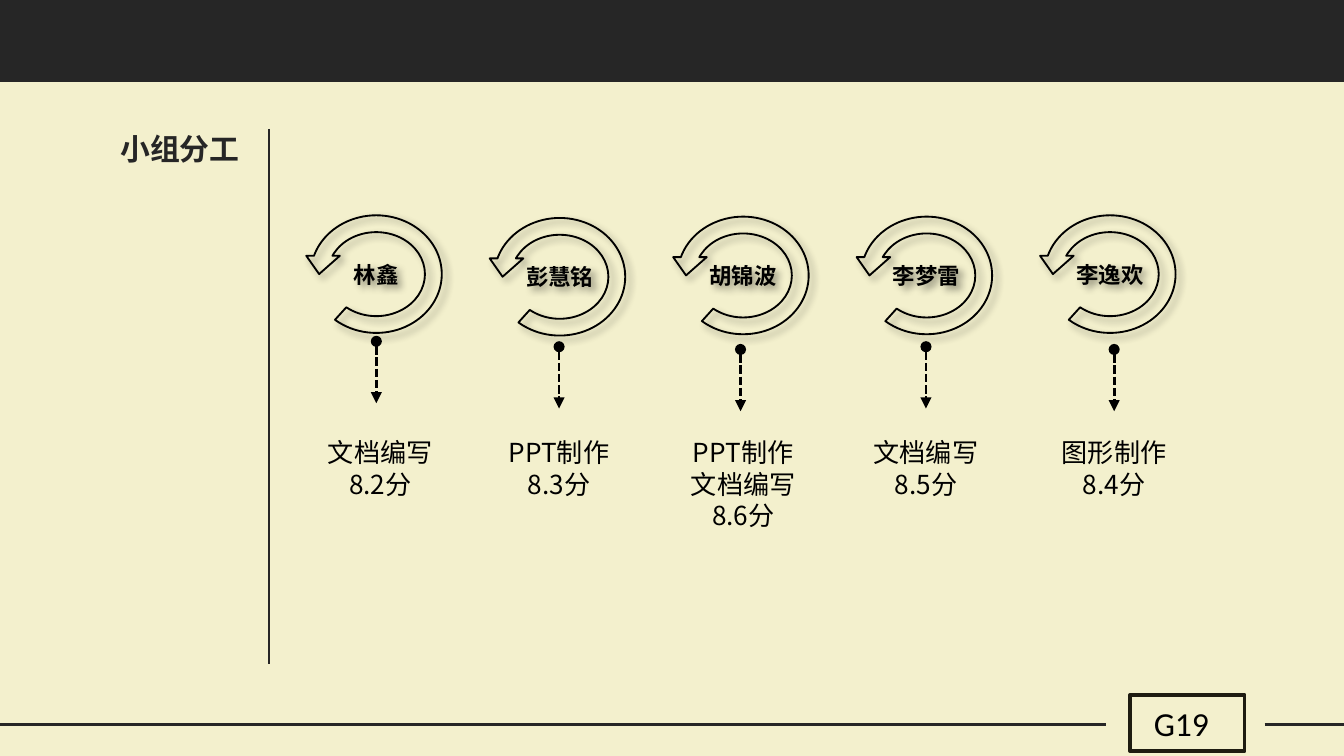
from lxml.etree import SubElement
from pptx import Presentation
from pptx.dml.color import RGBColor
from pptx.enum.dml import MSO_LINE
from pptx.enum.shapes import MSO_CONNECTOR as Connector, MSO_SHAPE as Preset
from pptx.enum.text import MSO_ANCHOR as Anchor, PP_ALIGN as Align
from pptx.oxml.ns import qn
from pptx.util import Inches, Pt

COLORS = {"paper": "F3F0CD", "dark": "262626", "frame": "1E1C11", "ink": "000000"}
CJK_FONT = "Noto Sans CJK SC"
RING_ADJUSTMENTS = (0.125, 11.42, 204.58, 28.75, 0.125)
RING_STEP = 1.365
MEMBERS = [
    ("林鑫", 1.54, 2.80, 2.54, 2.83, ["文档编写", "8.2分"]),
    ("彭慧铭", 1.56, 4.16, 2.58, 4.16, ["PPT制作", "8.3分"]),
    ("胡锦波", 1.55, 5.51, 2.60, 5.53, ["PPT制作", "文档编写", "8.6分"]),
    ("李梦雷", 1.55, 6.89, 2.58, 6.89, ["文档编写", "8.5分"]),
    ("李逸欢", 1.54, 8.29, 2.60, 8.29, ["图形制作", "8.4分"]),
]


def color(name):
    """Return the palette colour with this name."""
    return RGBColor.from_string(COLORS[name])


def write(frame, lines, size, ink="ink", bold=False, face=CJK_FONT, align=Align.CENTER):
    """Fill a text frame with one paragraph per line."""
    frame.word_wrap = True
    for index, line in enumerate(lines):
        para = frame.add_paragraph() if index else frame.paragraphs[0]
        para.text = line
        para.alignment = align
        para.line_spacing = Pt(round(size * 1.2, 1))
        para.font.size = Pt(size)
        para.font.bold = bold
        para.font.color.rgb = color(ink)
        para.font.name = face
        props = para._p.pPr.find(qn("a:defRPr"))
        SubElement(props, qn("a:ea"), typeface=face)


def add_text(page, left, top, width, height, lines, size, **style):
    """Add a wrapped text box."""
    box = page.shapes.add_textbox(Inches(left), Inches(top), Inches(width), Inches(height))
    write(box.text_frame, lines, size, **style)


def add_shape(page, preset, left, top, width, height, fill=None, line=None, weight=1):
    """Add a preset shape with the given fill and outline."""
    shape = page.shapes.add_shape(preset, Inches(left), Inches(top), Inches(width), Inches(height))
    shape.shadow.inherit = False
    if fill:
        shape.fill.solid()
        shape.fill.fore_color.rgb = color(fill)
    else:
        shape.fill.background()
    if line:
        shape.line.color.rgb = color(line)
        shape.line.width = Pt(weight)
    else:
        shape.line.fill.background()
    return shape


def add_line(page, x1, y1, x2, y2, ink, weight):
    """Add a straight line without a shadow."""
    line = page.shapes.add_connector(
        Connector.STRAIGHT, Inches(x1), Inches(y1), Inches(x2), Inches(y2))
    line.line.color.rgb = color(ink)
    line.line.width = Pt(weight)
    SubElement(line._element.spPr, qn("a:effectLst"))
    return line


def add_pointer(page, x, top, length):
    """Add a dashed arrow that starts with a dot and points down."""
    pointer = add_line(page, x, top, x, top + length, "ink", 1.5)
    pointer.line.dash_style = MSO_LINE.SQUARE_DOT
    outline = pointer._element.spPr.find(qn("a:ln"))
    SubElement(outline, qn("a:headEnd"), type="oval")
    SubElement(outline, qn("a:tailEnd"), type="triangle")


def add_ring(page, left, top, width, height, name):
    """Add a circular arrow with a soft shadow around a name."""
    ring = add_shape(page, Preset.CIRCULAR_ARROW, left, top, width, height, line="ink")
    for index, value in enumerate(RING_ADJUSTMENTS):
        ring.adjustments[index] = value
    props = ring._element.spPr
    props.find(qn("a:xfrm")).set("flipH", "1")
    shadow = SubElement(
        props.find(qn("a:effectLst")), qn("a:outerShdw"), blurRad=str(Pt(4)),
        dist=str(Pt(3)), dir="2700000", algn="tl", rotWithShape="0")
    tint = SubElement(shadow, qn("a:srgbClr"), val=COLORS["ink"])
    SubElement(tint, qn("a:alpha"), val="40000")
    frame = ring.text_frame
    frame.margin_left = frame.margin_right = Inches(0.07)
    frame.margin_top = frame.margin_bottom = Inches(0.04)
    frame.vertical_anchor = Anchor.MIDDLE
    write(frame, [name], 12, bold=True)


def add_frame(page, width, rule_y):
    """Add the top band, the bottom rule and the group badge."""
    add_shape(page, Preset.RECTANGLE, 0, 0, width, 0.61, fill="dark")
    for start, end in ((0, 8.23), (9.41, width)):
        add_line(page, start, rule_y, end, rule_y, "dark", 1.75)
    add_shape(page, Preset.RECTANGLE, 8.41, rule_y - 0.22, 0.85, 0.42, line="frame", weight=2)
    add_text(page, 8.43, rule_y - 0.21, 0.68, 0.4, [" G19"], 18,
             face="Calibri", align=Align.LEFT)


def add_heading(page, left, top):
    """Add the section heading and the vertical rule beside it."""
    add_text(page, left, top, 1.5, 0.37, ["小组分工"], 16, ink="dark", bold=True)
    add_line(page, left + 1.41, top + 0.04, left + 1.41, top + 4.02, "dark", 1.25)


def add_team(page, left):
    """Add a ring, a pointer and a task list for each member."""
    label_width = 0.99
    for index, (name, top, pointer_x, pointer_top, label_x, tasks) in enumerate(MEMBERS):
        add_ring(page, left + index * RING_STEP, top, 1.1, 1, name)
        add_pointer(page, pointer_x, pointer_top, 0.46)
        add_text(page, label_x - label_width / 2, 3.2, label_width, 0.57, tasks, 14)


def main():
    """Build the slide and save it."""
    deck = Presentation()
    deck.slide_width, deck.slide_height = Inches(10), Inches(10 * 9 / 16)
    page = deck.slides.add_slide(deck.slide_layouts[6])
    page.background.fill.solid()
    page.background.fill.fore_color.rgb = color("paper")
    add_frame(page, 10, 5.39)
    add_heading(page, 0.59, 0.92)
    add_team(page, 2.25)
    deck.save("out.pptx")


if __name__ == "__main__":
    main()
